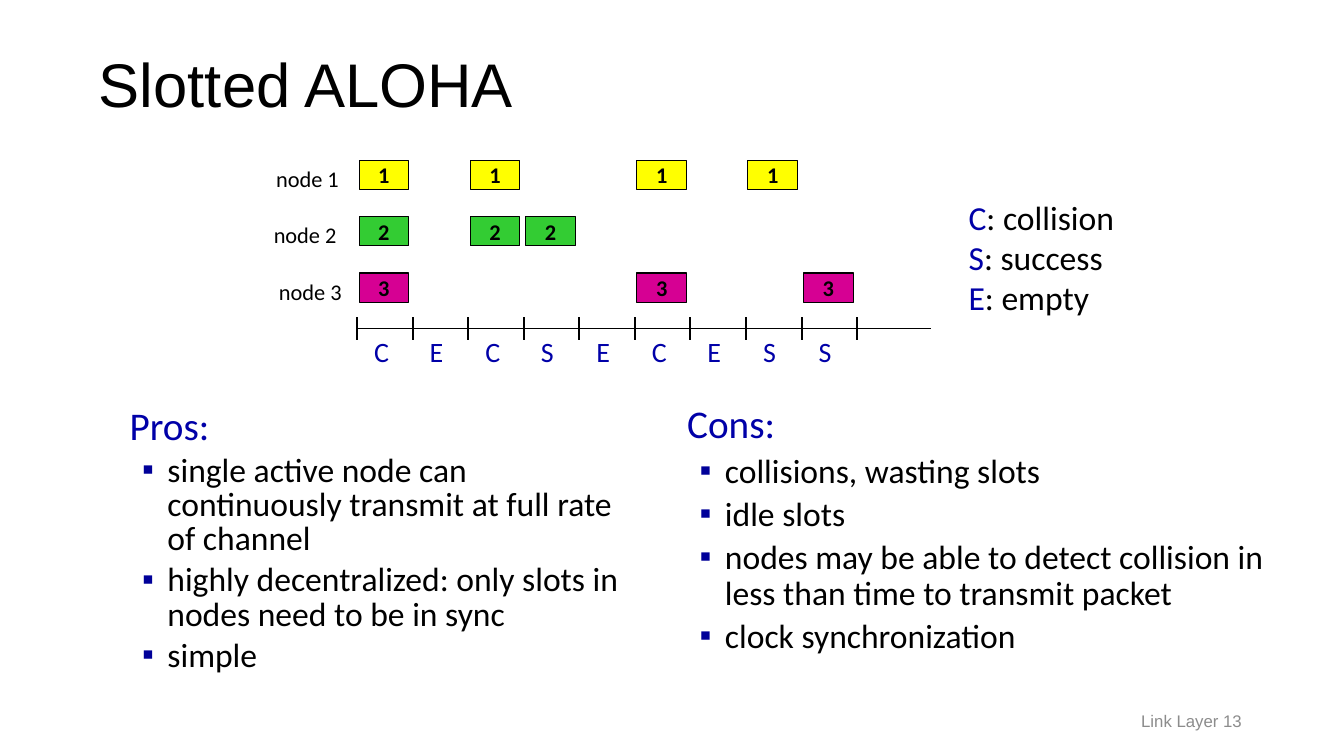
from lxml import etree
from pptx import Presentation
from pptx import util as u
from pptx.dml.color import RGBColor
from pptx.enum import shapes, text
from pptx.oxml import ns

BLACK = RGBColor(0x00, 0x00, 0x00)
BLUE = RGBColor(0x00, 0x00, 0xA8)
BULLET_BLUE = RGBColor(0x00, 0x00, 0x99)
GRAY = RGBColor(0x8C, 0x8C, 0x8C)
YELLOW = RGBColor(0xFF, 0xFF, 0x00)
GREEN = RGBColor(0x33, 0xCC, 0x33)
MAGENTA = RGBColor(0xD6, 0x00, 0x93)

# Timeline geometry in centimetres
SLOT_COUNT = 9
SLOT_LEFT, SLOT_WIDTH = 9.0, 1.4
ROW_TOP, ROW_PITCH = 4.04, 1.42
AXIS_TOP = 8.28

# Node number: label left, packet colour, slots in which the node sends
NODES = {
    1: (6.71, YELLOW, (0, 2, 5, 7)),
    2: (6.65, GREEN, (0, 2, 3)),
    3: (6.78, MAGENTA, (0, 5, 8)),
}

PROS = [
    "single active node can continuously transmit at full rate of channel",
    "highly decentralized: only slots in nodes need to be in sync",
    "simple",
]
CONS = [
    "collisions, wasting slots",
    "idle slots",
    "nodes may be able to detect collision in less than time to transmit packet",
    "clock synchronization",
]


class SlideBuilder:
    """Holds the text style and the current slide."""

    body_font = "Calibri"
    heading_font = "Arial"

    def __init__(self, slide):
        self.slide = slide

    def style(self, run, size, color=BLACK, font=None, bold=False):
        run.font.name = font or self.body_font
        run.font.size = u.Pt(size)
        run.font.color.rgb = color
        run.font.bold = bold

    def title(self, words, box):
        shape = self.slide.shapes.title
        shape.left, shape.top, shape.width, shape.height = map(u.Cm, box)
        frame = shape.text_frame
        frame.text = words
        frame.vertical_anchor = text.MSO_ANCHOR.MIDDLE
        paragraph = frame.paragraphs[0]
        paragraph.alignment = text.PP_ALIGN.LEFT
        paragraph.line_spacing = 0.9
        self.style(paragraph.runs[0], 44, font=self.heading_font)

    def text_box(self, box, wrap=False):
        frame = self.slide.shapes.add_textbox(*map(u.Cm, box)).text_frame
        frame.word_wrap = wrap
        return frame

    def label(self, words, box, size, color=BLACK):
        frame = self.text_box(box)
        frame.text = words
        self.style(frame.paragraphs[0].runs[0], size, color)

    def legend(self, entries, box):
        frame = self.text_box(box)
        for index, (letter, meaning) in enumerate(entries):
            paragraph = frame.add_paragraph() if index else frame.paragraphs[0]
            for words, color in ((letter, BLUE), (f": {meaning}", BLACK)):
                run = paragraph.add_run()
                run.text = words
                self.style(run, 24, color)

    def footer(self, words, box):
        frame = self.text_box(box, wrap=True)
        frame.text = words
        frame.vertical_anchor = text.MSO_ANCHOR.MIDDLE
        paragraph = frame.paragraphs[0]
        paragraph.alignment = text.PP_ALIGN.RIGHT
        self.style(paragraph.runs[0], 12, GRAY, self.heading_font)

    def packet(self, number, left, top, color):
        shape = self.slide.shapes.add_shape(
            shapes.MSO_SHAPE.RECTANGLE, u.Cm(left), u.Cm(top), u.Cm(1.25), u.Cm(0.74))
        shape.shadow.inherit = False
        shape.fill.solid()
        shape.fill.fore_color.rgb = color
        shape.line.color.rgb = BLACK
        shape.line.width = u.Pt(0.75)
        frame = shape.text_frame
        frame.margin_left = frame.margin_right = frame.margin_top = frame.margin_bottom = 0
        frame.word_wrap = False
        frame.vertical_anchor = text.MSO_ANCHOR.MIDDLE
        frame.text = str(number)
        frame.paragraphs[0].alignment = text.PP_ALIGN.CENTER
        self.style(frame.paragraphs[0].runs[0], 16, bold=True)

    def line(self, start, end, width):
        connector = self.slide.shapes.add_connector(
            shapes.MSO_CONNECTOR.STRAIGHT, *map(u.Cm, start + end))
        connector.line.color.rgb = BLACK
        connector.line.width = u.Pt(width)
        etree.SubElement(connector.element.spPr, ns.qn("a:effectLst"))

    def bullet_list(self, heading, items, box, spacing):
        frame = self.text_box(box, wrap=True)
        for index, words in enumerate([heading] + items):
            paragraph = frame.add_paragraph() if index else frame.paragraphs[0]
            paragraph.text = words
            paragraph.line_spacing = spacing
            size, color = (24, BLACK) if index else (28, BLUE)
            paragraph.space_before = u.Pt(size * 0.2)
            self.style(paragraph.runs[0], size, color)
            self.indent(paragraph, bulleted=index > 0)

    def indent(self, paragraph, bulleted):
        properties = paragraph._p.get_or_add_pPr()
        properties.set("marL", str(u.Cm(0.95)))
        properties.set("indent", str(u.Cm(-0.64 if bulleted else -0.95)))
        if bulleted:
            bullet_color = etree.SubElement(properties, ns.qn("a:buClr"))
            etree.SubElement(bullet_color, ns.qn("a:srgbClr"), val=str(BULLET_BLUE))
            etree.SubElement(properties, ns.qn("a:buFont"), typeface="Arial")
            etree.SubElement(properties, ns.qn("a:buChar"), char="▪")


def slot_outcome(slot):
    senders = sum(slot in slots for _, _, slots in NODES.values())
    return "ESCC"[senders]


def main():
    presentation = Presentation()
    presentation.slide_width, presentation.slide_height = u.Cm(33.87), u.Cm(19.05)
    builder = SlideBuilder(presentation.slides.add_slide(presentation.slide_layouts[5]))

    builder.title("Slotted ALOHA", (2.24, 0.97, 29.21, 2.49))

    # Pros and cons
    builder.bullet_list("Pros:", PROS, (3.02, 10.16, 13.46, 8.89), 0.85)
    builder.bullet_list("Cons:", CONS, (17.07, 10.08, 15.49, 7.62), 0.9)

    # Packets sent by each node
    for row, (number, (label_left, color, slots)) in enumerate(NODES.items()):
        top = ROW_TOP + row * ROW_PITCH
        builder.label(f"node {number}", (label_left, top, 2.11, 0.94), 16)
        for slot in slots:
            builder.packet(number, SLOT_LEFT + slot * SLOT_WIDTH + 0.05, top, color)

    # Time axis with slot borders and outcomes
    builder.line((SLOT_LEFT, AXIS_TOP), (23.47, AXIS_TOP), 0.75)
    for border in range(SLOT_COUNT + 1):
        left = SLOT_LEFT + border * SLOT_WIDTH
        builder.line((left, AXIS_TOP - 0.29), (left, AXIS_TOP + 0.29), 1.5)
    for slot in range(SLOT_COUNT):
        left = SLOT_LEFT + slot * SLOT_WIDTH + 0.18
        builder.label(slot_outcome(slot), (left, 8.31, 0.88, 1.12), 20, BLUE)

    # Legend and footer
    builder.legend([("C", "collision"), ("S", "success"), ("E", "empty")],
                   (24.16, 4.83, 4.22, 3.33))
    builder.footer("Link Layer 13", (23.93, 17.65, 7.62, 1.02))

    presentation.save("out.pptx")


if __name__ == "__main__":
    main()
